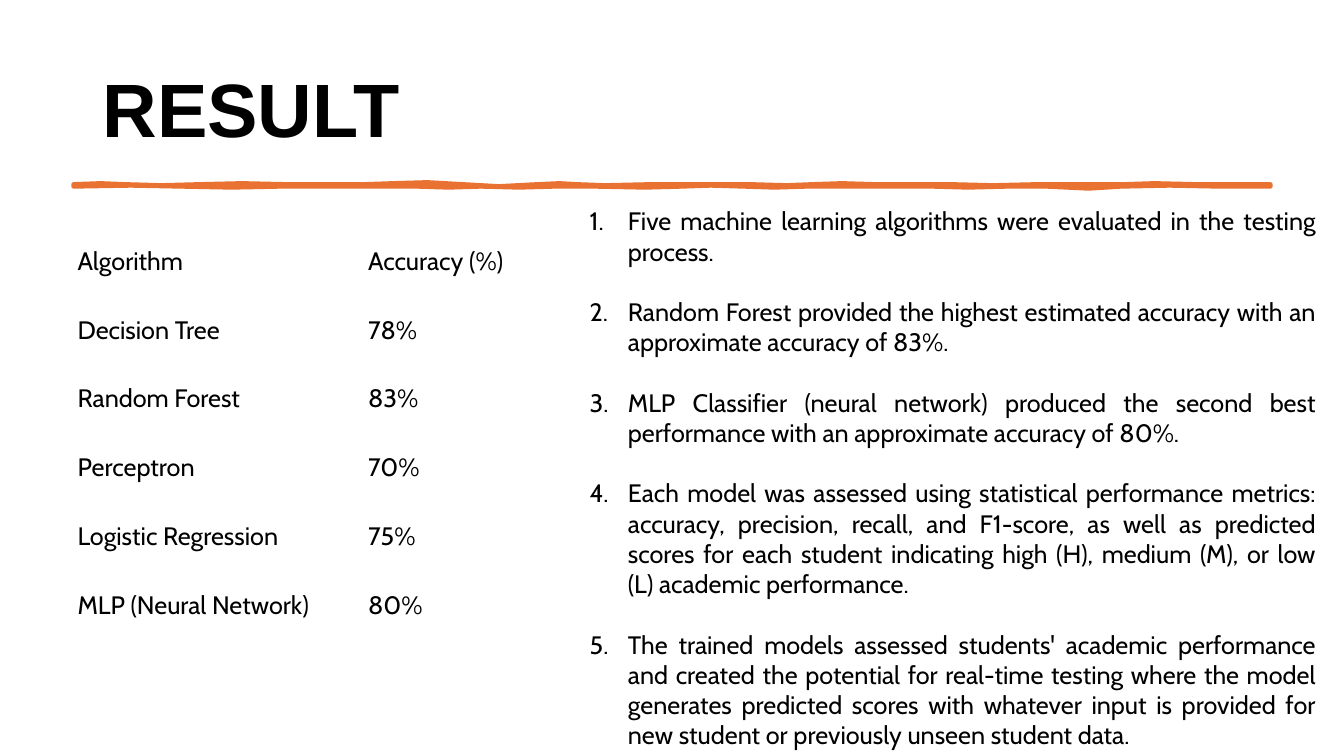
from lxml import etree
from pptx import Presentation
from pptx.dml.color import RGBColor
from pptx.enum.text import MSO_ANCHOR, MSO_AUTO_SIZE, PP_ALIGN
from pptx.oxml.ns import qn
from pptx.util import Pt

PX = 9144
BLACK = RGBColor(0x00, 0x00, 0x00)
ORANGE = RGBColor(0xE9, 0x71, 0x32)
MIDDLE = MSO_ANCHOR.MIDDLE
JUSTIFY = PP_ALIGN.JUSTIFY
FIT_TEXT = MSO_AUTO_SIZE.SHAPE_TO_FIT_TEXT

RESULTS = [
    ("Algorithm", "Accuracy (%)"),
    ("Decision Tree", "78%"),
    ("Random Forest", "83%"),
    ("Perceptron", "70%"),
    ("Logistic Regression", "75%"),
    ("MLP (Neural Network)", "80%"),
]
FINDINGS = [
    "Five machine learning algorithms were evaluated in the testing process.",
    "Random Forest provided the highest estimated accuracy with an approximate accuracy of 83%.",
    "MLP Classifier (neural network) produced the second best performance with an "
    "approximate accuracy of 80%.",
    "Each model was assessed using statistical performance metrics: accuracy, precision, "
    "recall, and F1-score, as well as predicted scores for each student indicating high (H), "
    "medium (M), or low (L) academic performance.",
    "The trained models assessed students' academic performance and created the potential "
    "for real-time testing where the model generates predicted scores with whatever input "
    "is provided for new student or previously unseen student data.",
]
STROKE_TOP = [
    (73, 183), (100, 182), (124, 183), (160, 184), (198, 183), (240, 182), (284, 183),
    (322, 183), (361, 183), (390, 182), (424, 181), (459, 183), (495, 185), (533, 183),
    (555, 182), (572, 183), (600, 184), (646, 183), (695, 183), (744, 183), (780, 184),
    (806, 183), (835, 182), (868, 183), (900, 183), (943, 183), (985, 184), (1029, 183),
    (1070, 183), (1115, 183), (1145, 182), (1186, 183), (1260, 183),
]
STROKE_BOTTOM = [
    (1260, 185), (1210, 185), (1160, 184), (1112, 185), (1080, 187), (1038, 185),
    (999, 185), (960, 186), (925, 185), (863, 185), (800, 185), (768, 186), (738, 185),
    (705, 184), (676, 185), (640, 186), (590, 185), (550, 185), (515, 186), (477, 185),
    (445, 186), (414, 185), (370, 185), (328, 185), (278, 185), (230, 186), (180, 185),
    (130, 184), (73, 185),
]


def add_run(paragraph, text, font, size, bold=False):
    run = paragraph.add_run()
    run.text = text
    run.font.name = font
    run.font.size = Pt(size)
    run.font.bold = bold
    run.font.color.rgb = BLACK


presentation = Presentation()
presentation.slide_width = 1333 * PX
presentation.slide_height = 750 * PX
slide = presentation.slides.add_slide(presentation.slide_layouts[6])

title = slide.shapes.add_textbox(92 * PX, 40 * PX, 1150 * PX, 145 * PX)
title.text_frame.word_wrap = True
title.text_frame.vertical_anchor = MIDDLE
title_paragraph = title.text_frame.paragraphs[0]
title_paragraph.line_spacing = 0.9
add_run(title_paragraph, "RESULT", "Arial", 54, bold=True)

outline = STROKE_TOP + STROKE_BOTTOM
builder = slide.shapes.build_freeform(*outline[0], scale=PX)
builder.add_line_segments(outline[1:], close=True)
stroke = builder.convert_to_shape()
stroke.shadow.inherit = False
stroke.fill.solid()
stroke.fill.fore_color.rgb = ORANGE
stroke.line.color.rgb = ORANGE
stroke.line.width = Pt(3.25)

table = slide.shapes.add_table(
    len(RESULTS), 2, 67 * PX, 225 * PX, 556 * PX, 410 * PX
).table
table.first_row = False
table.horz_banding = False
for column, width in zip(table.columns, (288, 268)):
    column.width = width * PX
for row, values in zip(table.rows, RESULTS):
    for cell, value in zip(row.cells, values):
        cell.fill.background()
        cell.vertical_anchor = MIDDLE
        add_run(cell.text_frame.paragraphs[0], value, "Cabin", 18)

findings = slide.shapes.add_textbox(575 * PX, 199 * PX, 740 * PX, 555 * PX)
frame = findings.text_frame
frame.word_wrap = True
frame.auto_size = FIT_TEXT
for index, finding in enumerate(FINDINGS):
    paragraph = frame.add_paragraph() if index else frame.paragraphs[0]
    paragraph.alignment = JUSTIFY
    if index:
        paragraph.space_before = Pt(21.6)
    properties = paragraph._p.get_or_add_pPr()
    properties.set("marL", str(38 * PX))
    properties.set("indent", str(-38 * PX))
    etree.SubElement(properties, qn("a:buFont"), typeface="+mj-lt")
    etree.SubElement(properties, qn("a:buAutoNum"), type="arabicPeriod")
    add_run(paragraph, finding, "Cabin", 18)

presentation.save("out.pptx")
